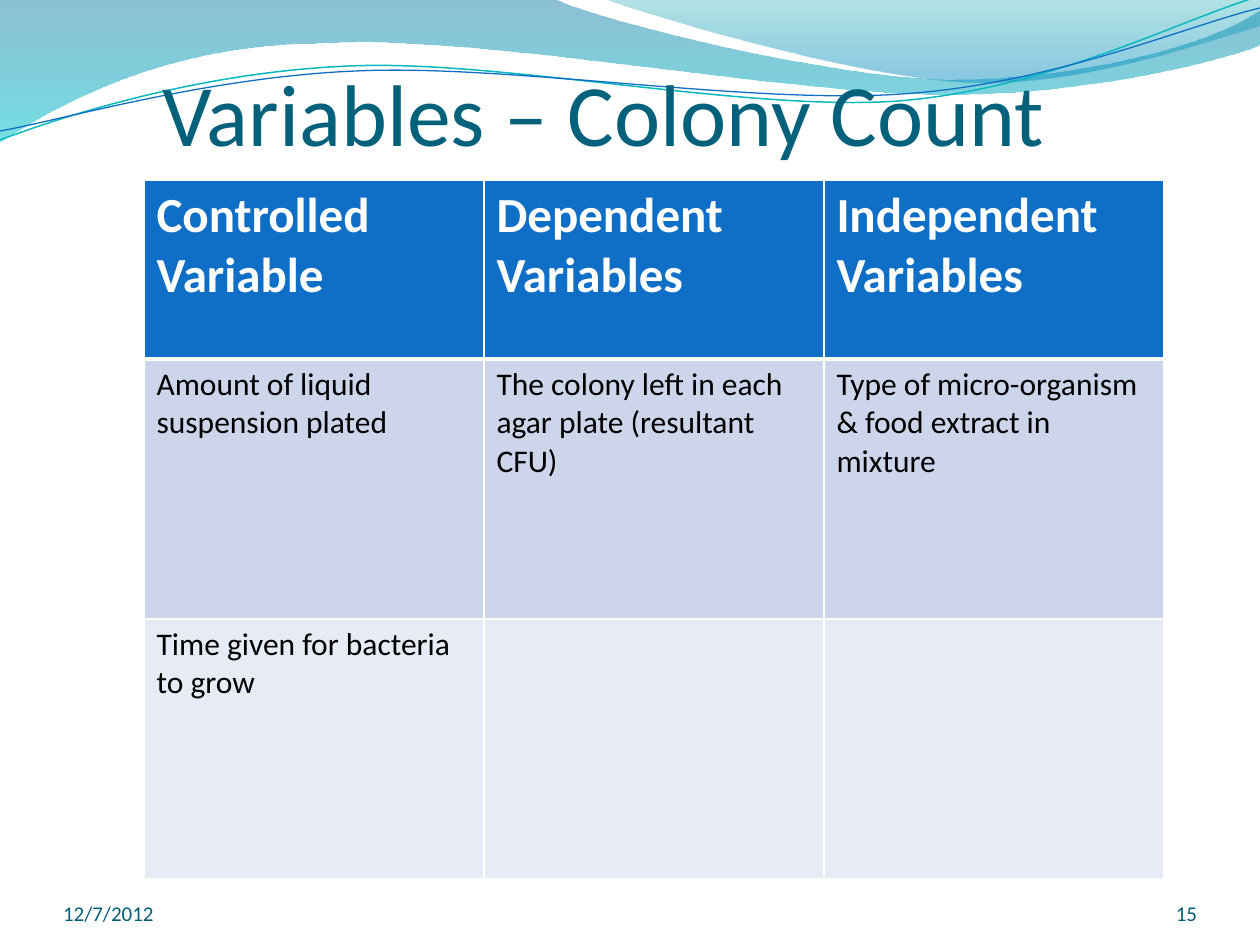
from lxml.etree import SubElement, fromstring
from pptx import Presentation
from pptx.dml.color import RGBColor
from pptx.enum.text import MSO_ANCHOR, PP_ALIGN
from pptx.oxml.ns import nsdecls, qn
from pptx.util import Inches, Pt

PX = Inches(1) / 126
WHITE = RGBColor(0xFF, 0xFF, 0xFF)
BLACK = RGBColor(0x00, 0x00, 0x00)
BLUE = RGBColor(0x0F, 0x6F, 0xC6)
TEAL = RGBColor(0x0A, 0xB8, 0xBF)
TITLE = RGBColor(0x04, 0x61, 0x7B)
FOOTER = RGBColor(0x04, 0x5D, 0x75)
BAND_DARK = RGBColor(0xCC, 0xD5, 0xEA)
BAND_LIGHT = RGBColor(0xE7, 0xEB, 0xF5)
WAVE_BLUE = RGBColor(0x00, 0x74, 0xA1)
WAVE_CYAN = RGBColor(0x00, 0xC6, 0xCF)
WAVE_GREEN = RGBColor(0x00, 0xA1, 0xA9)
WAVE_SKY = RGBColor(0x00, 0x8B, 0xBF)


def write(tf, text, size=18, color=BLACK, bold=False, align=PP_ALIGN.LEFT):
    p = tf.paragraphs[0]
    p.alignment = align
    r = p.add_run()
    r.text = text
    r.font.name = "Calibri"
    r.font.size = Pt(size)
    r.font.bold = bold
    r.font.color.rgb = color


def add_curve(shapes, start, segments, close):
    builder = shapes.build_freeform(*start, scale=PX)
    builder.add_line_segments([pt for seg in segments for pt in seg], close=close)
    sp = builder.convert_to_shape()
    sp.shadow.inherit = False
    steps = iter(list(sp.element.spPr.iter(qn("a:lnTo"))))
    for seg in segments:
        first, *others = [next(steps) for _ in seg]
        if others:
            first.tag = qn("a:cubicBezTo")
            for step in others:
                first.append(step[0])
                step.getparent().remove(step)
    return sp


prs = Presentation()
prs.slide_width, prs.slide_height = Inches(10), Inches(7.5)
s = prs.slides.add_slide(prs.slide_layouts[5])

waves = [
    ((0, -1), [[(554, -1)],
               [(600, 21), (837, 79), (955, 79)],
               [(1075, 79), (1207, 47), (1260, 11)],
               [(1261, 45)],
               [(1239, 55), (1096, 96), (940, 94)],
               [(784, 94), (481, 35), (324, 43)],
               [(163, 44), (58, 105), (-1, 142)]],
     [(0, WAVE_BLUE, 45), (1, WAVE_CYAN, 55)]),
    ((604, -1), [[(641, 14), (859, 78), (969, 82)],
                 [(1079, 87), (1211, 40), (1260, 26)],
                 [(1260, 0)]],
     [(0, WAVE_GREEN, 30), (0.8, WAVE_SKY, 45)]),
]
for start, segments, stops in waves:
    sp = add_curve(s.shapes, start, segments, True)
    sp.line.fill.background()
    sp.fill.gradient()
    sp.fill.gradient_angle = 270
    for stop, (position, color, _) in zip(sp.fill.gradient_stops, stops):
        stop.position = position
        stop.color.rgb = color
    colors = sp.element.spPr.iter(qn("a:srgbClr"))
    for clr, (_, _, opacity) in zip(colors, stops):
        SubElement(clr, qn("a:alpha")).set("val", str(opacity * 1000))

lines = [
    ((0, 140), [[(60, 117), (199, 72), (349, 66)],
                [(498, 59), (747, 112), (898, 101)],
                [(1050, 89), (1182, 19), (1257, -3)]], TEAL, 0.85),
    ((0, 131), [[(59, 121), (207, 77), (357, 71)],
                [(508, 64), (752, 105), (903, 94)],
                [(1053, 84), (1186, 26), (1260, 8)]], BLUE, 0.75),
]
for start, segments, color, width in lines:
    sp = add_curve(s.shapes, start, segments, False)
    sp.fill.background()
    sp.line.color.rgb = color
    sp.line.width = Pt(width)

title = s.shapes.title
s.shapes.element.append(title.element)
title.left, title.top, title.width, title.height = [round(v * PX) for v in (162, 6, 1033, 158)]
tf = title.text_frame
tf.margin_left = tf.margin_right = tf.margin_bottom = 0
tf.vertical_anchor = MSO_ANCHOR.BOTTOM
write(tf, "Variables – Colony Count", size=50, color=TITLE)

for left, width, text, align in [(63, 294, "12/7/2012", PP_ALIGN.LEFT),
                                 (1092, 105, "15", PP_ALIGN.RIGHT)]:
    box = s.shapes.add_textbox(*[round(v * PX) for v in (left, 876, width, 50)])
    tf = box.text_frame
    tf.word_wrap = True
    tf.margin_left = tf.margin_top = tf.margin_right = tf.margin_bottom = 0
    tf.vertical_anchor = MSO_ANCHOR.BOTTOM
    write(tf, text, size=12, color=FOOTER, align=align)

rows = [
    ["Controlled Variable", "Dependent Variables", "Independent Variables"],
    ["Amount of liquid suspension plated",
     "The colony left in each agar plate (resultant CFU)",
     "Type of micro-organism & food extract in mixture"],
    ["Time given for bacteria to grow", "", ""],
]
heights = [179, 260, 260]
fills = [BLUE, BAND_DARK, BAND_LIGHT]
frame = s.shapes.add_table(3, 3, *[round(v * PX) for v in (144, 180, 1020, sum(heights))])
table = frame.table
for col in table.columns:
    col.width = round(340 * PX)
for i, texts in enumerate(rows):
    table.rows[i].height = round(heights[i] * PX)
    for j, text in enumerate(texts):
        cell = table.cell(i, j)
        cell.fill.solid()
        cell.fill.fore_color.rgb = fills[i]
        if text and i == 0:
            write(cell.text_frame, text, size=28, color=WHITE, bold=True)
        elif text:
            write(cell.text_frame, text)
        tcPr = cell._tc.get_or_add_tcPr()
        for k, side in enumerate("LRTB"):
            heavy = (i, side) in [(0, "B"), (1, "T")]
            tcPr.insert(k, fromstring(
                f'<a:ln{side} {nsdecls("a")} w="{Pt(3 if heavy else 1)}"><a:solidFill>'
                f'<a:srgbClr val="{WHITE}"/></a:solidFill></a:ln{side}>'))

prs.save("out.pptx")
